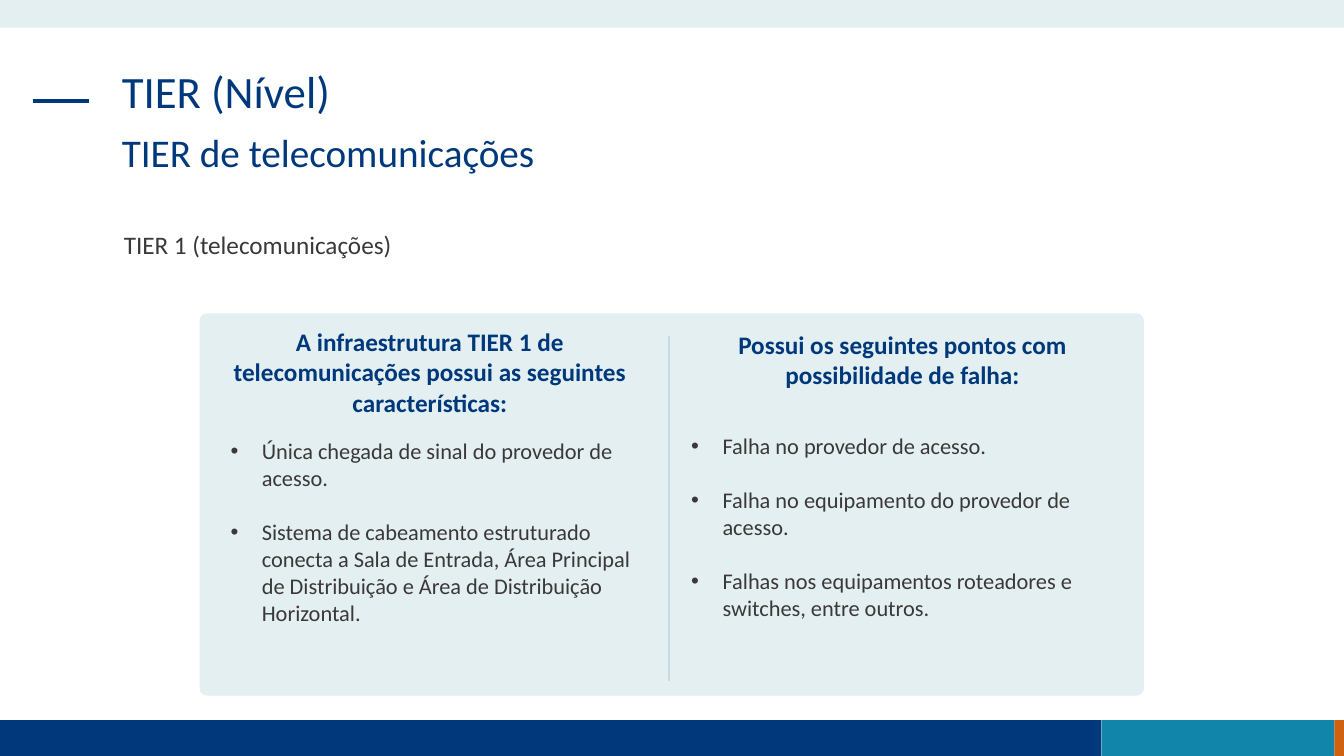
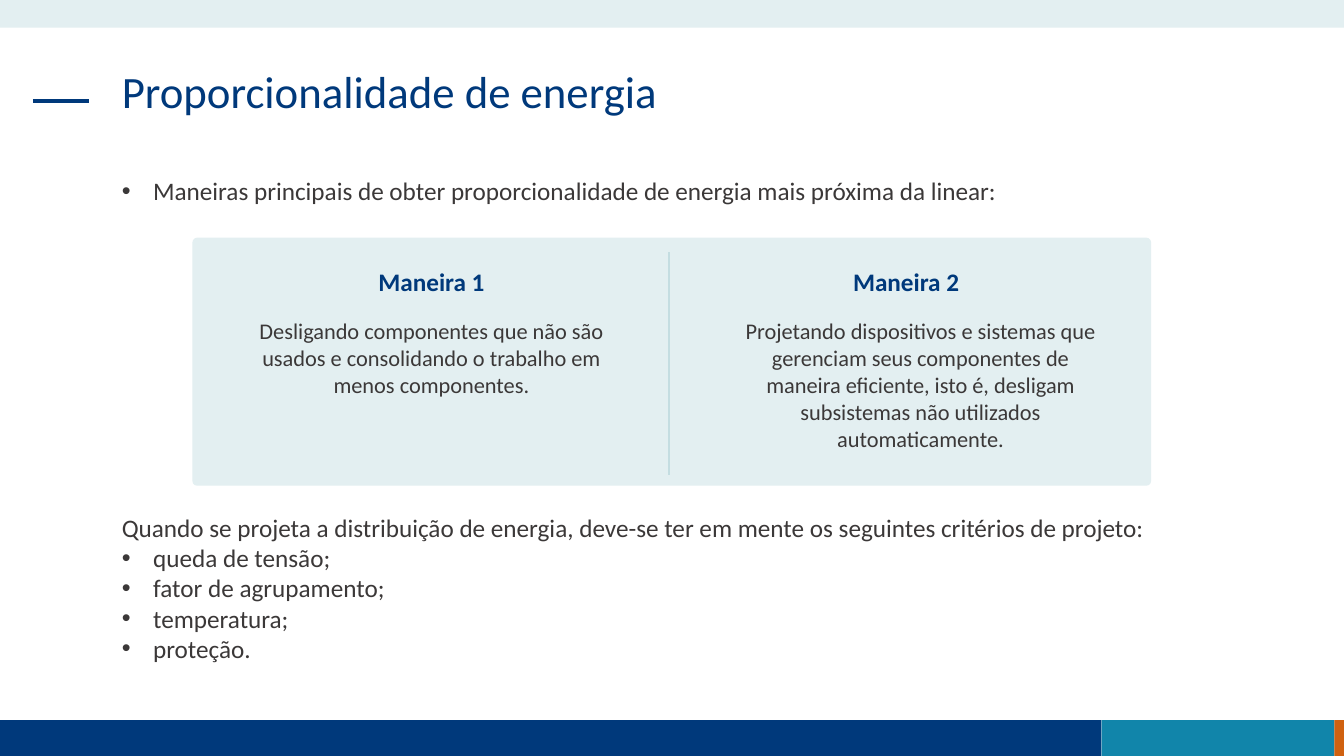
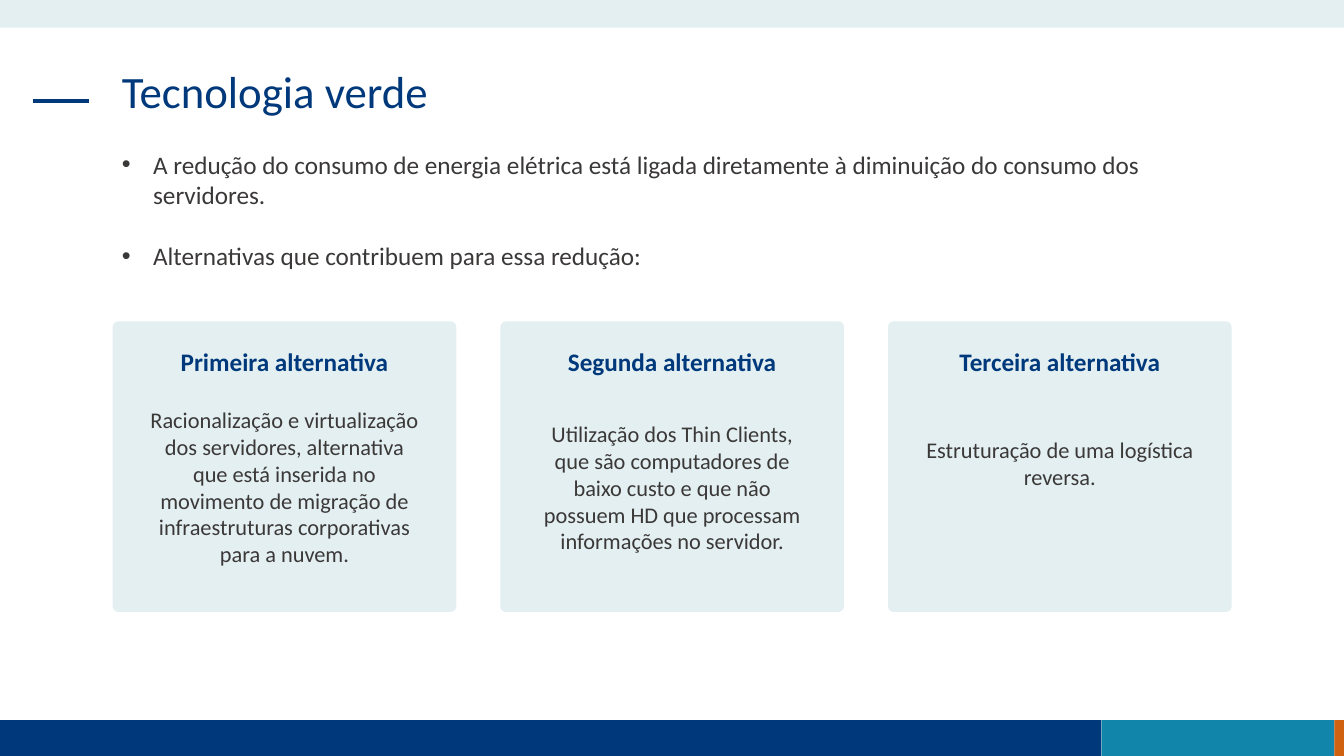
from lxml import etree
from pptx import Presentation
from pptx.dml.color import RGBColor
from pptx.enum.shapes import MSO_CONNECTOR, MSO_SHAPE
from pptx.enum.text import PP_ALIGN
from pptx.oxml.ns import qn
from pptx.util import Cm, Pt

RECT, ROUND = MSO_SHAPE.RECTANGLE, MSO_SHAPE.ROUNDED_RECTANGLE
STRAIGHT = MSO_CONNECTOR.STRAIGHT
LEFT, CENTER = PP_ALIGN.LEFT, PP_ALIGN.CENTER

NAVY = RGBColor(0x00, 0x39, 0x7B)
TEAL = RGBColor(0x11, 0x85, 0xAA)
ORANGE = RGBColor(0xD0, 0x61, 0x10)
PALE = RGBColor(0xE3, 0xEF, 0xF1)
RULE = RGBColor(0xC4, 0xDD, 0xE1)
GRAY = RGBColor(0x3B, 0x38, 0x38)

FONT = "Calibri"
WIDE, HIGH = 33.87, 19.05
FOOT = 18.15
FOOTER = [(0, NAVY), (27.76, TEAL), (33.63, ORANGE)]
MARGIN, SPAN = 2.82, 28.19
INDENT = 0.79
MID = 16.87

# Boxes are (left, top, width, height) in centimetres
TIER = {
    "title": "TIER (Nível)",
    "sub": "TIER de telecomunicações",
    "label": "TIER 1 (telecomunicações)",
    "panel": (5.03, 7.9, 23.8, 9.63),
    "rule": (8.46, 17.15),
    "heads": [
        ((5.03, 8.1, 11.61, 2.57),
         "A infraestrutura TIER 1 de telecomunicações possui as seguintes características:"),
        ((16.79, 8.18, 11.91, 1.8),
         "Possui os seguintes pontos com possibilidade de falha:"),
    ],
    "lists": [
        ((5.56, 10.9, 11.1, 5.05), [
            "Única chegada de sinal do provedor de acesso.",
            "Sistema de cabeamento estruturado conecta a Sala de Entrada, "
            "Área Principal de Distribuição e Área de Distribuição Horizontal.",
        ]),
        ((17.17, 10.77, 11.66, 5.05), [
            "Falha no provedor de acesso.",
            "Falha no equipamento do provedor de acesso.",
            "Falhas nos equipamentos roteadores e switches, entre outros.",
        ]),
    ],
}

ENERGY = {
    "title": "Proporcionalidade de energia",
    "lead": "Maneiras principais de obter proporcionalidade de energia mais próxima da linear:",
    "panel": (4.85, 5.99, 24.16, 6.25),
    "rule": (6.35, 11.96),
    "heads": [
        ((6.48, 6.58, 8.79, 1.02), "Maneira 1"),
        ((18.44, 6.58, 8.79, 1.02), "Maneira 2"),
    ],
    "texts": [
        ((6.2, 7.87, 9.35, 2.3),
         "Desligando componentes que não são usados e consolidando o trabalho "
         "em menos componentes."),
        ((18.21, 7.87, 9.98, 3.65),
         "Projetando dispositivos e sistemas que gerenciam seus componentes de "
         "maneira eficiente, isto é, desligam subsistemas não utilizados automaticamente."),
    ],
    "criteria": [
        "Quando se projeta a distribuição de energia, deve-se ter em mente os "
        "seguintes critérios de projeto:",
        "queda de tensão;",
        "fator de agrupamento;",
        "temperatura;",
        "proteção.",
    ],
}

GREEN = {
    "title": "Tecnologia verde",
    "points": [
        "A redução do consumo de energia elétrica está ligada diretamente à "
        "diminuição do consumo dos servidores.",
        "Alternativas que contribuem para essa redução:",
    ],
    # heading, top of text, text
    "cards": [
        ("Primeira alternativa", 10.11,
         "Racionalização e virtualização dos servidores, alternativa que está inserida "
         "no movimento de migração de infraestruturas corporativas para a nuvem."),
        ("Segunda alternativa", 10.46,
         "Utilização dos Thin Clients, que são computadores de baixo custo e que não "
         "possuem HD que processam informações no servidor."),
        ("Terceira alternativa", 10.87,
         "Estruturação de uma logística reversa."),
    ],
}
CARD = (2.84, 8.1, 8.66, 7.32)
STEP = 9.77
PAD = 0.57


def add_text(slide, box, paras, size=18, color=GRAY, bold=False, align=LEFT,
             bullet=None, gap=0, line=None):
    """Write paragraphs; bullet is the index of the first bulleted one."""
    frame = slide.shapes.add_textbox(*map(Cm, box)).text_frame
    frame.word_wrap = True
    if isinstance(paras, str):
        paras = [paras]
    for i, words in enumerate(paras):
        para = frame.add_paragraph() if i else frame.paragraphs[0]
        para.alignment = align
        if bullet is not None and i >= bullet:
            props = para._p.get_or_add_pPr()
            props.set("marL", str(Cm(INDENT)))
            props.set("indent", str(-Cm(INDENT)))
            etree.SubElement(props, qn("a:buFont")).set("typeface", "Arial")
            etree.SubElement(props, qn("a:buChar")).set("char", "•")
        if i and gap:
            para.space_before = Pt(gap)
        if line:
            para.line_spacing = line
        run = para.add_run()
        run.text = words
        font = run.font
        font.name, font.size, font.bold = FONT, Pt(size), bold
        font.color.rgb = color


def add_head(slide, box, words):
    add_text(slide, box, words, color=NAVY, bold=True, align=CENTER)


def add_block(slide, box, color, kind=RECT):
    block = slide.shapes.add_shape(kind, *map(Cm, box))
    block.shadow.inherit = False
    block.fill.solid()
    block.fill.fore_color.rgb = color
    block.line.fill.background()
    if kind == ROUND:
        block.adjustments[0] = 0.019


def add_line(slide, ends, color, width):
    line = slide.shapes.add_connector(STRAIGHT, *map(Cm, ends))
    line.line.color.rgb = color
    line.line.width = Pt(width)
    etree.SubElement(line._element.spPr, qn("a:effectLst"))


def add_panel(slide, data):
    """Draw the two-column panel with its rule and headings."""
    add_block(slide, data["panel"], PALE, ROUND)
    top, end = data["rule"]
    add_line(slide, (MID, top, MID, end), RULE, 1.5)
    for box, words in data["heads"]:
        add_head(slide, box, words)


def start_slide(deck, title):
    """Add a slide with the shared bands, dash and title."""
    slide = deck.slides.add_slide(deck.slide_layouts[6])
    ends = [left for left, _ in FOOTER[1:]] + [WIDE]
    for (left, color), end in zip(FOOTER, ends):
        add_block(slide, (left, FOOT, end - left, HIGH - FOOT), color)
    add_block(slide, (0, 0, WIDE, 0.7), PALE)
    add_line(slide, (0.83, 2.54, 2.24, 2.54), NAVY, 3)
    add_text(slide, (MARGIN, 1.63, SPAN, 2.39), title, size=32, color=NAVY, line=0.9)
    return slide


def build_tier(deck):
    slide = start_slide(deck, TIER["title"])
    add_text(slide, (MARGIN, 3.25, 22.23, 1.5), TIER["sub"], size=28, color=NAVY, line=0.9)
    add_text(slide, (2.87, 5.66, SPAN, 1.8), TIER["label"])
    add_panel(slide, TIER)
    for box, items in TIER["lists"]:
        add_text(slide, box, items, size=16, bullet=0, gap=19.5)


def build_energy(deck):
    slide = start_slide(deck, ENERGY["title"])
    add_text(slide, (MARGIN, 4.29, SPAN, 1.02), ENERGY["lead"], bullet=0)
    add_panel(slide, ENERGY)
    for box, words in ENERGY["texts"]:
        add_text(slide, box, words, size=16, align=CENTER)
    add_text(slide, (MARGIN, 12.78, SPAN, 4.11), ENERGY["criteria"], bullet=1)


def build_green(deck):
    slide = start_slide(deck, GREEN["title"])
    add_text(slide, (MARGIN, 3.63, 27.53, 3.33), GREEN["points"], bullet=0, gap=22)
    left, top, width, height = CARD
    for i, (head, start, words) in enumerate(GREEN["cards"]):
        x = left + i * STEP
        add_block(slide, (x, top, width, height), PALE, ROUND)
        add_head(slide, (x, 8.6, width, 1.02), head)
        add_text(slide, (x + PAD, start, width - 2 * PAD, 4.37), words,
                 size=16, align=CENTER)


def main():
    deck = Presentation()
    deck.slide_width, deck.slide_height = Cm(WIDE), Cm(HIGH)
    build_tier(deck)
    build_energy(deck)
    build_green(deck)
    deck.save("out.pptx")


if __name__ == "__main__":
    main()
